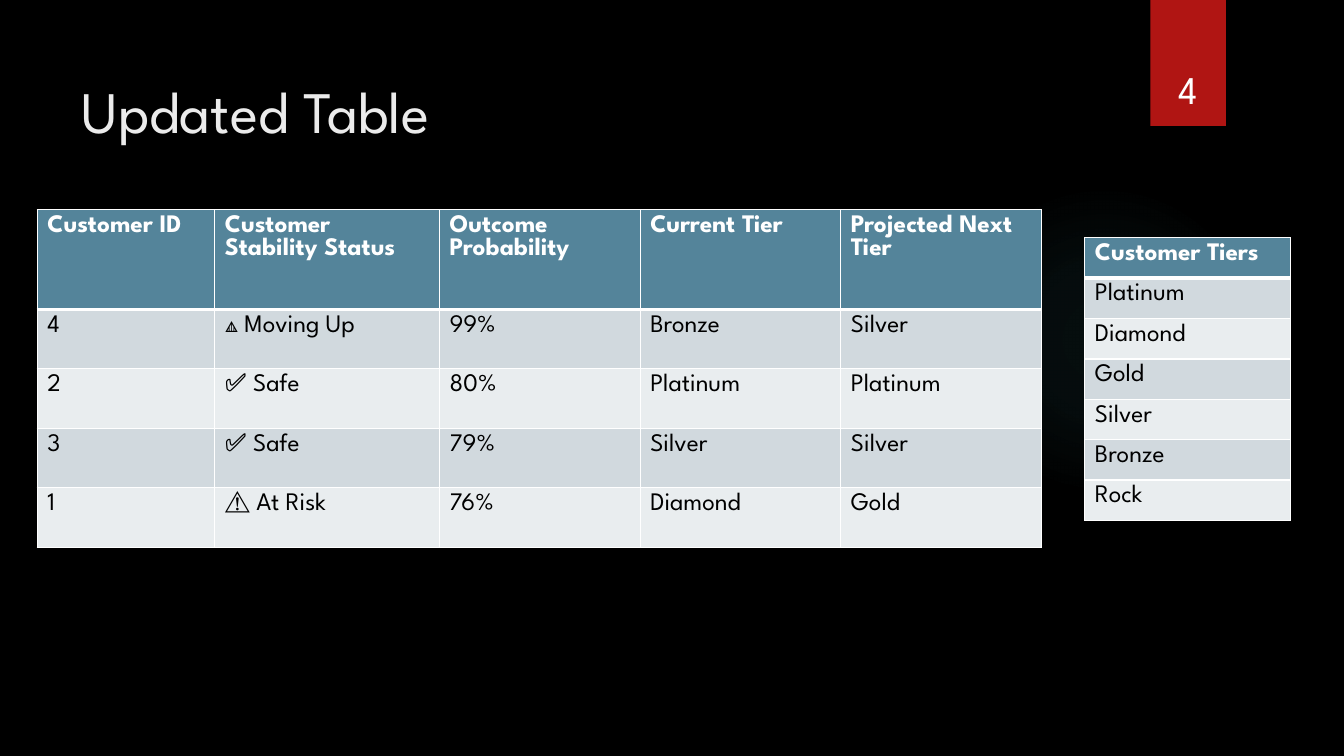
from lxml import etree
from pptx import Presentation
from pptx.dml.color import RGBColor
from pptx.enum.shapes import MSO_SHAPE
from pptx.enum.text import MSO_ANCHOR, PP_ALIGN
from pptx.oxml import parse_xml
from pptx.oxml.ns import qn
from pptx.util import Inches, Pt

TOP, BOTTOM = MSO_ANCHOR.TOP, MSO_ANCHOR.BOTTOM
LEFT, CENTER = PP_ALIGN.LEFT, PP_ALIGN.CENTER

# Content
TITLE = "Updated Table"
NUMBER = "4"
CUSTOMERS = [
    ("Customer ID", "Customer Stability Status", "Outcome Probability",
     "Current Tier", "Projected Next Tier"),
    ("4", "🔼 Moving Up", "99%", "Bronze", "Silver"),
    ("2", "✅ Safe", "80%", "Platinum", "Platinum"),
    ("3", "✅ Safe", "79%", "Silver", "Silver"),
    ("1", "⚠️ At Risk", "76%", "Diamond", "Gold"),
]
TIERS = [("Customer Tiers",), ("Platinum",), ("Diamond",), ("Gold",),
         ("Silver",), ("Bronze",), ("Rock",)]

FONT = "League Spartan"
HEADER, BANDS = "54849A", ("E9EDEF", "D1D9DE")
WHITE, BLACK, RED, GLOW = "FFFFFF", "000000", "B01513", "50B9C1"
GLOW_STOPS = [(0, 7), (36, 6), (69, 0)]  # position %, opacity %


def color(value):
    return RGBColor.from_string(value)


def write(tf, text, size=18, fill=BLACK, bold=False, align=LEFT, anchor=TOP):
    tf.word_wrap = True
    tf.vertical_anchor = anchor
    p = tf.paragraphs[0]
    p.alignment = align
    r = p.add_run()
    r.text = text
    r.font.name, r.font.size, r.font.bold = FONT, Pt(size), bold
    r.font.color.rgb = color(fill)


def add_plain(kind, x, y, w, h):
    sp = s.shapes.add_shape(kind, Inches(x), Inches(y), Inches(w), Inches(h))
    sp.shadow.inherit = False
    sp.line.fill.background()
    return sp


def set_border(cell, side, width):
    ln = etree.SubElement(cell._tc.get_or_add_tcPr(), qn(f"a:ln{side}"), w=str(Pt(width)))
    fill = etree.SubElement(ln, qn("a:solidFill"))
    etree.SubElement(fill, qn("a:srgbClr"), val=WHITE)


def add_grid(rows, x, y, widths, heights):
    frame = s.shapes.add_table(len(rows), len(widths), Inches(x), Inches(y),
                               Inches(sum(widths)), Inches(sum(heights)))
    table = frame.table
    for column, width in zip(table.columns, widths):
        column.width = Inches(width)
    for i, values in enumerate(rows):
        table.rows[i].height = Inches(heights[i])
        head = i == 0
        for j, text in enumerate(values):
            cell = table.cell(i, j)
            edges = {"L": 1, "R": 1, "T": 3 if i == 1 else 1, "B": 3 if head else 1}
            for side, width in edges.items():
                set_border(cell, side, width)
            cell.fill.solid()
            cell.fill.fore_color.rgb = color(HEADER if head else BANDS[i % 2])
            write(cell.text_frame, text, fill=WHITE if head else BLACK, bold=head)


prs = Presentation()
prs.slide_width, prs.slide_height = Inches(13.33), Inches(7.5)
s = prs.slides.add_slide(prs.slide_layouts[5])
s.background.fill.solid()
s.background.fill.fore_color.rgb = color(BLACK)

# Soft glow behind the tier list
glow = add_plain(MSO_SHAPE.OVAL, 9.41, 1.83, 3.08, 3.08)
glow.fill.background()
stops = "".join(
    f'<a:gs pos="{pos * 1000}"><a:srgbClr val="{GLOW}">'
    f'<a:alpha val="{alpha * 1000}"/></a:srgbClr></a:gs>' for pos, alpha in GLOW_STOPS)
gradient = parse_xml(
    '<a:gradFill xmlns:a="http://schemas.openxmlformats.org/drawingml/2006/main">'
    f'<a:gsLst>{stops}</a:gsLst><a:path path="circle">'
    '<a:fillToRect l="50000" t="50000" r="50000" b="50000"/></a:path></a:gradFill>')
no_fill = glow._element.spPr.find(qn("a:noFill"))
no_fill.getparent().replace(no_fill, gradient)

# Red tab with the slide number
tab = add_plain(MSO_SHAPE.RECTANGLE, 11.41, 0, 0.75, 1.25)
tab.fill.solid()
tab.fill.fore_color.rgb = color(RED)
number = s.shapes.add_textbox(Inches(11.32), Inches(0.32), Inches(0.92), Inches(0.84))
write(number.text_frame, NUMBER, size=28, fill=WHITE, align=CENTER, anchor=BOTTOM)

# Title
title = s.shapes.title
title.left, title.top = Inches(0.71), Inches(0.5)
title.width, title.height = Inches(10.29), Inches(1.53)
title.text_frame.margin_top = Inches(0.24)
write(title.text_frame, TITLE, size=42, fill="EBEBEB")

# Tables
add_grid(CUSTOMERS, 0.37, 2.08, [1.76, 2.23] + [1.99] * 3, [0.99] + [0.59] * 4)
add_grid(TIERS, 10.76, 2.36, [2.04], [0.39] * len(TIERS))

prs.save("out.pptx")
